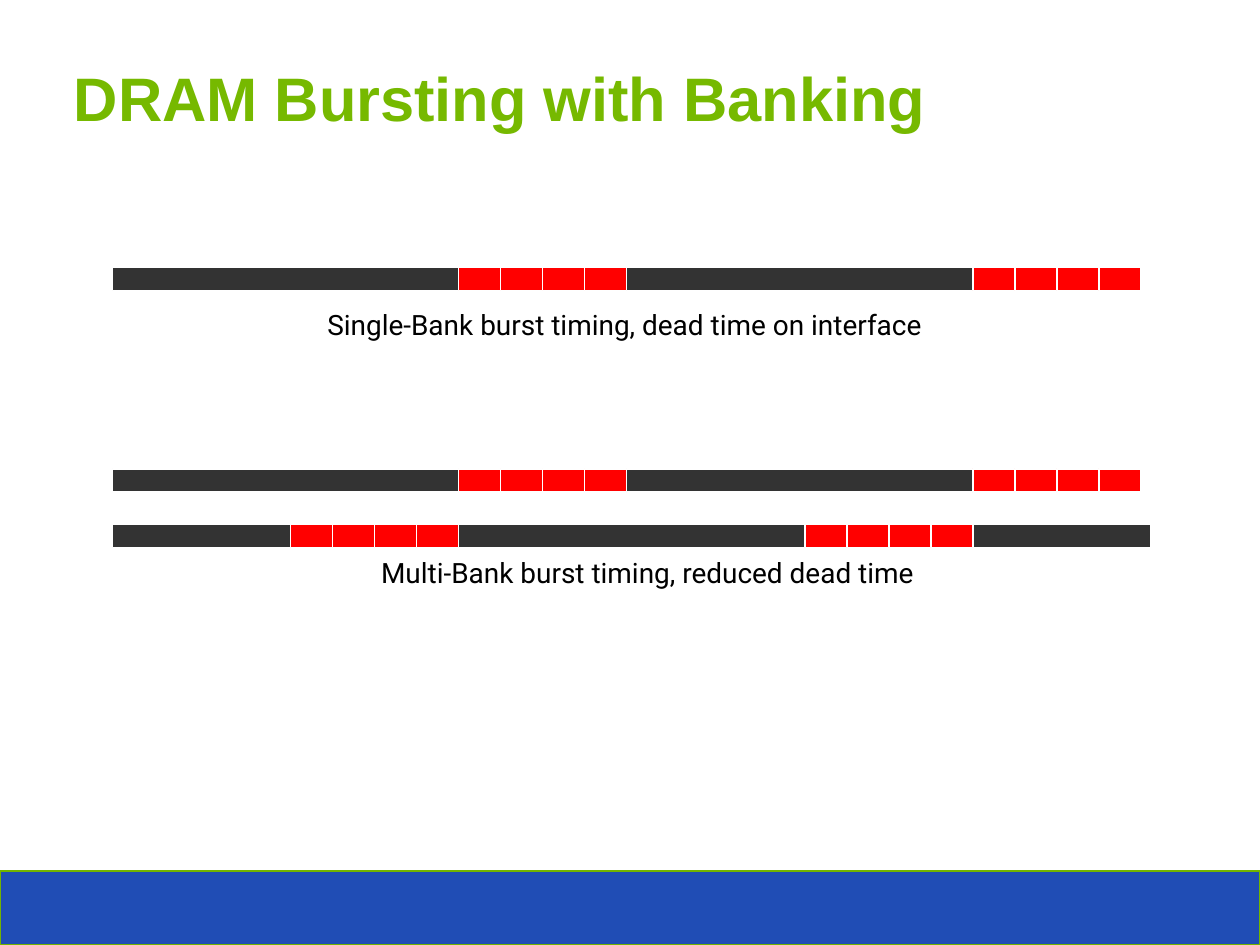
from pptx import Presentation
from pptx.dml.color import RGBColor
from pptx.enum.shapes import MSO_SHAPE
from pptx.enum.text import MSO_ANCHOR, PP_ALIGN
from pptx.util import Inches, Pt

RECT = MSO_SHAPE.RECTANGLE
TOP, LEFT = MSO_ANCHOR.TOP, PP_ALIGN.LEFT

COLORS = {"title": "76B900", "footer": "204DB5", "footer_line": "72B400",
          "idle": "333333", "burst": "FF0000", "gap": "FFFFFF", "text": "000000"}

TITLE = "DRAM Bursting with Banking"
# Each timeline: top, then its phases in order
TIMELINES = [
    (1.59, ["access", "burst", "access", "burst"]),
    (2.79, ["access", "burst", "access", "burst"]),
    (3.12, ["half", "burst", "access", "burst", "half"]),
]
# Caption: text, left, top, width
CAPTIONS = [
    ("Single-Bank burst timing, dead time on interface", 1.85, 1.78, 3.87),
    ("Multi-Bank burst timing, reduced dead time", 2.17, 3.26, 3.54),
]

WIDTH = 7.5
HEIGHT = WIDTH * 3 / 4
FOOTER_H = 0.44
START, BAR_H = 0.67, 0.14
BEAT = 0.25
# Phase: number of blocks, width of each, colour
PHASES = {"access": (1, 2.06, "idle"), "half": (1, 1.06, "idle"),
          "burst": (4, BEAT, "burst")}


def rgb(name):
    return RGBColor.from_string(COLORS[name])


def add_block(x, y, w, h, fill, line):
    s = slide.shapes.add_shape(RECT, Inches(x), Inches(y), Inches(w), Inches(h))
    s.shadow.inherit = False
    s.fill.solid()
    s.fill.fore_color.rgb = rgb(fill)
    s.line.color.rgb = rgb(line)
    s.line.width = Pt(0.75)


def write(tf, text, font, size, color, bold=False):
    tf.word_wrap = True
    tf.vertical_anchor = TOP
    p = tf.paragraphs[0]
    p.text = text
    p.alignment = LEFT
    p.font.name, p.font.size, p.font.bold = font, Pt(size), bold
    p.font.color.rgb = rgb(color)


prs = Presentation()
prs.slide_width, prs.slide_height = Inches(WIDTH), Inches(HEIGHT)
slide = prs.slides.add_slide(prs.slide_layouts[5])

title = slide.shapes.title
title.left, title.top = Inches(0.34), Inches(0.32)
title.width, title.height = Inches(6.82), Inches(0.48)
title.text_frame.margin_top, title.text_frame.margin_bottom = Inches(0.04), 0
write(title.text_frame, TITLE, "Arial", 26.3, "title", bold=True)

add_block(0, HEIGHT - FOOTER_H, WIDTH, FOOTER_H, "footer", "footer_line")

for y, phases in TIMELINES:
    x = START
    for phase in phases:
        count, w, color = PHASES[phase]
        for _ in range(count):
            add_block(x, y, w, BAR_H, color, "gap")
            x += w

for text, x, y, w in CAPTIONS:
    box = slide.shapes.add_textbox(Inches(x), Inches(y), Inches(w), Inches(0.3))
    write(box.text_frame, text, "Roboto", 12, "text")

prs.save("out.pptx")
